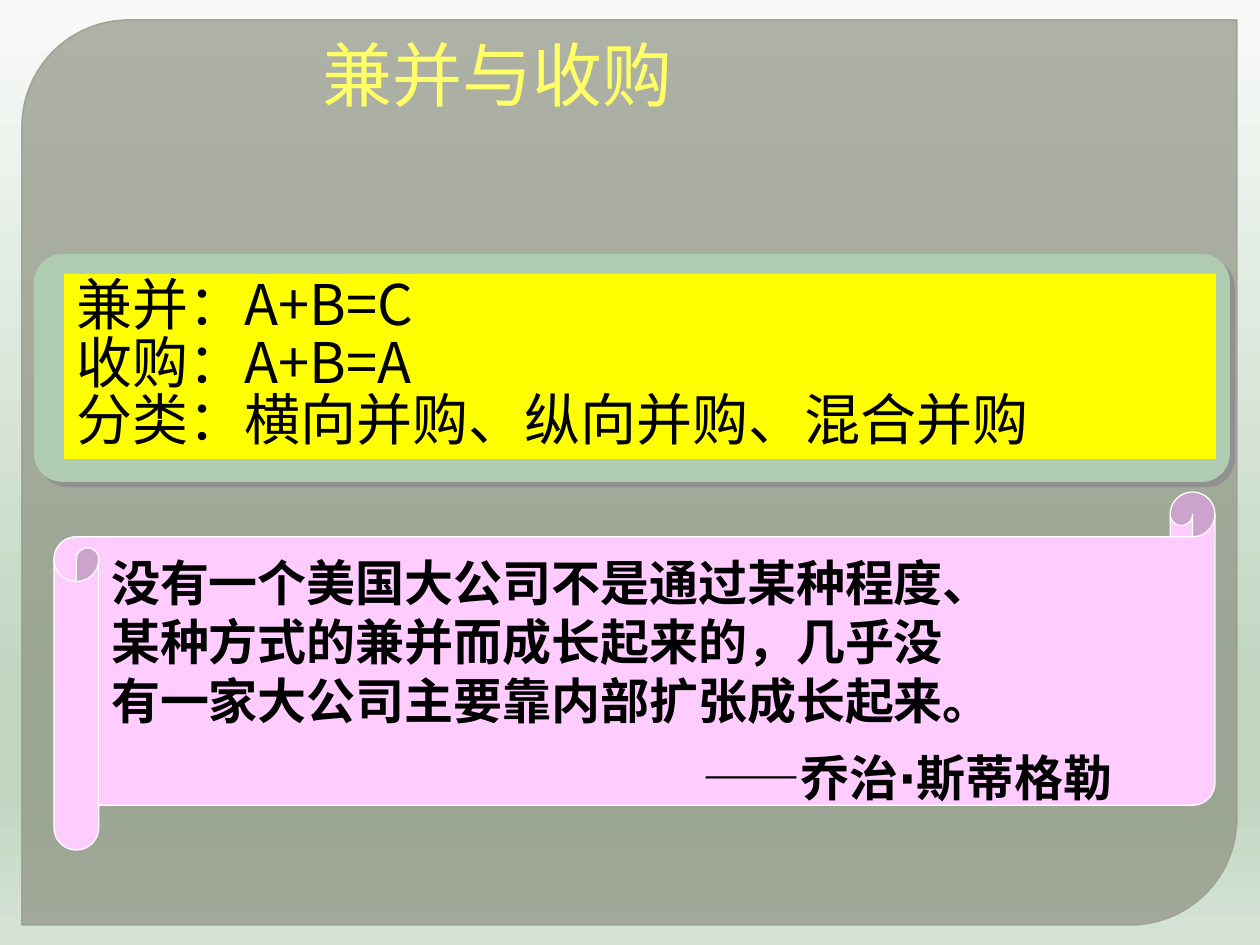
import pptx
import pptx.dml.color
import pptx.enum.shapes
import pptx.enum.text
import pptx.oxml
import pptx.oxml.ns
import pptx.util
from lxml import etree

PX = 914400 // 126
SHAPES = pptx.enum.shapes.MSO_SHAPE
EAST_ASIAN_FONT = "Noto Sans CJK SC"

BACKGROUND_STOPS = [(0, "F8FAF8"), (74, "C0D6C1"), (83, "C0D6C1"), (100, "D5E3D6")]
TITLE = ["兼并与收购"]
DEFINITIONS = ["兼并：A+B=C", "收购：A+B=A", "分类：横向并购、纵向并购、混合并购"]
QUOTE = [
    "没有一个美国大公司不是通过某种程度、",
    "某种方式的兼并而成长起来的，几乎没",
    "有一家大公司主要靠内部扩张成长起来。",
]
QUOTE_AUTHOR = ["——乔治⋅斯蒂格勒"]


def color(hex_text):
    return pptx.dml.color.RGBColor.from_string(hex_text)


def add_child(parent, tag, **attributes):
    child = etree.SubElement(parent, pptx.oxml.ns.qn(tag))
    for name, value in attributes.items():
        child.set(name, str(value))
    return child


def set_opacity(fill, percent):
    """Make a solid fill, of a shape or a line, partly transparent."""
    color_element = fill._xPr.find(".//" + pptx.oxml.ns.qn("a:srgbClr"))
    add_child(color_element, "a:alpha", val=percent * 1000)


def add_panel(slide, kind, box, fill, line=None, line_width=0.75, adjustments=()):
    shape = slide.shapes.add_shape(kind, *(value * PX for value in box))
    shape.shadow.inherit = False
    for index, value in enumerate(adjustments):
        shape.adjustments[index] = value
    shape.fill.solid()
    shape.fill.fore_color.rgb = color(fill)
    if line:
        shape.line.color.rgb = color(line)
        shape.line.width = pptx.util.Pt(line_width)
    else:
        shape.line.fill.background()
    return shape


def add_text_box(slide, box):
    return slide.shapes.add_textbox(*(value * PX for value in box))


def write(shape, lines, size, font, hex_text="000000", bold=False, spacing=None):
    frame = shape.text_frame
    frame.word_wrap = True
    frame.vertical_anchor = pptx.enum.text.MSO_ANCHOR.TOP
    for index, line in enumerate(lines):
        paragraph = frame.paragraphs[0] if index == 0 else frame.add_paragraph()
        paragraph.alignment = pptx.enum.text.PP_ALIGN.LEFT
        if spacing:
            paragraph.line_spacing = spacing
        run = paragraph.add_run()
        run.text = line
        run.font.size = pptx.util.Pt(size)
        run.font.name = font
        run.font.bold = bold
        run.font.color.rgb = color(hex_text)
        add_child(run.font._element, "a:ea", typeface=EAST_ASIAN_FONT)


def paint_background(slide):
    fill = slide.background.fill
    fill.gradient()
    fill.gradient_angle = 270
    stops = slide._element.find(".//" + pptx.oxml.ns.qn("a:gsLst"))
    for stop in list(stops):
        stops.remove(stop)
    for position, hex_text in BACKGROUND_STOPS:
        stop = add_child(stops, "a:gs", pos=position * 1000)
        add_child(stop, "a:srgbClr", val=hex_text)


def add_hard_shadow(shape, hex_text, distance):
    effects = shape._element.spPr.find(pptx.oxml.ns.qn("a:effectLst"))
    shadow = add_child(effects, "a:outerShdw", blurRad=0, dist=pptx.util.Pt(distance),
                       dir=45 * 60000, algn="ctr", rotWithShape=0)
    add_child(shadow, "a:srgbClr", val=hex_text)


def main():
    presentation = pptx.Presentation()
    presentation.slide_width = 1260 * PX
    presentation.slide_height = 945 * PX
    slide = presentation.slides.add_slide(presentation.slide_layouts[6])
    paint_background(slide)

    backdrop = add_panel(slide, SHAPES.ROUND_2_DIAG_RECTANGLE, (22, 20, 1215, 905),
                         "888B7B", "9DA090", 0.87, (0.118, 0))
    set_opacity(backdrop.fill, 65)
    set_opacity(backdrop.line.fill, 88)

    write(add_text_box(slide, (310, 25, 688, 96)), TITLE, 40, "Roboto Slab", "FFFF66")

    definition_frame = add_panel(slide, SHAPES.ROUNDED_RECTANGLE, (34, 254, 1196, 228),
                                 "B0CCB0", adjustments=(0.125,))
    add_hard_shadow(definition_frame, "919191", 4.2)
    definition_panel = add_panel(slide, SHAPES.RECTANGLE, (64, 274, 1152, 185), "FFFF00")
    write(definition_panel, DEFINITIONS, 32, EAST_ASIAN_FONT, spacing=0.85)

    scroll = add_panel(slide, SHAPES.HORIZONTAL_SCROLL, (54, 492, 1161, 358),
                       "FFCCFF", "FFFFFF", adjustments=(0.125,))
    scroll.text_frame.margin_top = 16 * PX
    write(scroll, QUOTE, 28, "Arial", bold=True)
    write(add_text_box(slide, (690, 741, 451, 72)), QUOTE_AUTHOR, 28, "Arial", bold=True)

    presentation.save("out.pptx")


if __name__ == "__main__":
    main()
